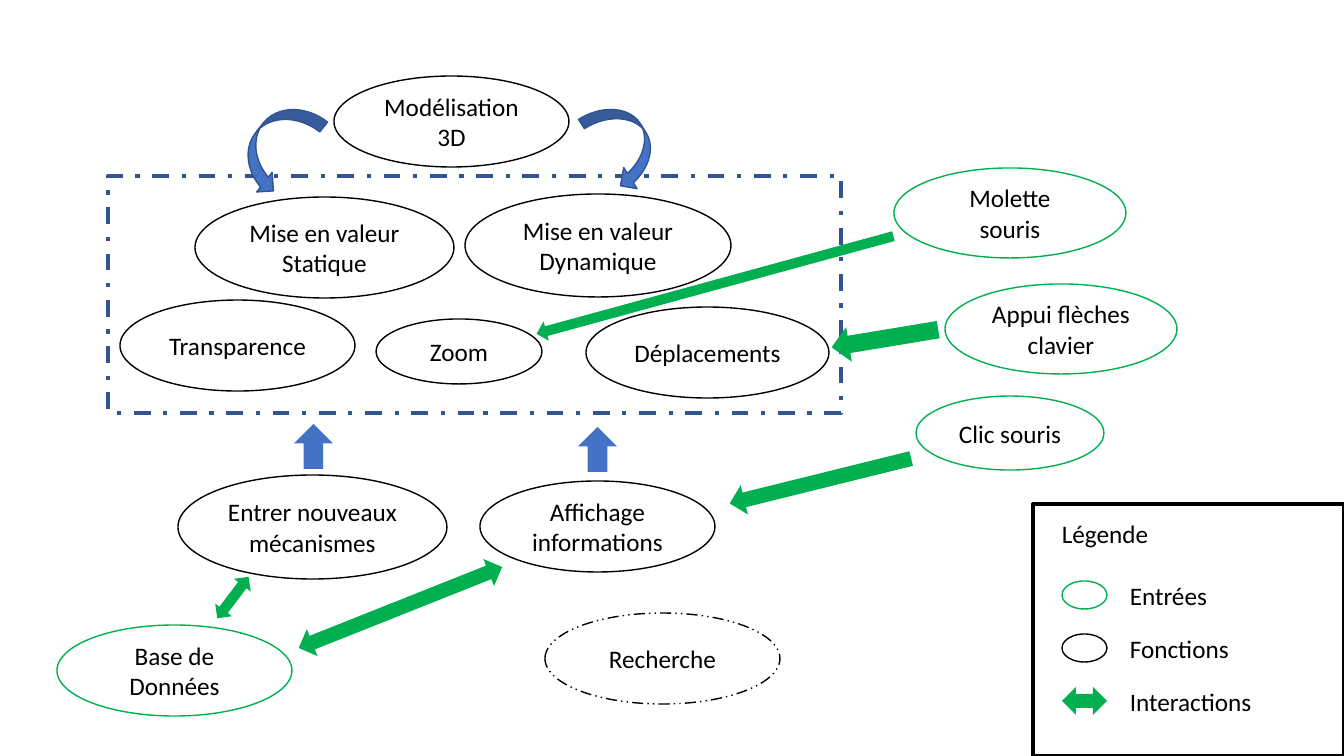
from pptx import Presentation
from pptx.dml.color import RGBColor
from pptx.enum.dml import MSO_LINE
from pptx.enum.shapes import MSO_SHAPE
from pptx.enum.text import MSO_ANCHOR, PP_ALIGN
from pptx.util import Pt

PX = 914400 / 100.8
SLIDE_SIZE = (1344, 756)

WHITE = RGBColor(0xFF, 0xFF, 0xFF)
BLACK = RGBColor(0x00, 0x00, 0x00)
GREEN = RGBColor(0x00, 0xB0, 0x50)
BLUE = RGBColor(0x44, 0x72, 0xC4)
DARK_BLUE = RGBColor(0x32, 0x54, 0x91)

RECTANGLE, OVAL = MSO_SHAPE.RECTANGLE, MSO_SHAPE.OVAL
UP_ARROW, LEFT_ARROW = MSO_SHAPE.UP_ARROW, MSO_SHAPE.LEFT_ARROW
TWO_WAY_ARROW = MSO_SHAPE.LEFT_RIGHT_ARROW
CURVED_RIGHT, CURVED_LEFT = MSO_SHAPE.CURVED_RIGHT_ARROW, MSO_SHAPE.CURVED_LEFT_ARROW
DASH_DOT, DASH_DOT_DOT = MSO_LINE.DASH_DOT, MSO_LINE.DASH_DOT_DOT
LEFT, CENTER = PP_ALIGN.LEFT, PP_ALIGN.CENTER
TOP, MIDDLE = MSO_ANCHOR.TOP, MSO_ANCHOR.MIDDLE


def px(*lengths):
    return [round(length * PX) for length in lengths]


def within(box, left, top, width, height):
    """Turn a place relative to the box into a place on the slide."""
    return box[0] + left, box[1] + top, width, height


def write(shape, text, align=CENTER, anchor=MIDDLE, size=18, color=BLACK):
    frame = shape.text_frame
    frame.word_wrap = True
    frame.vertical_anchor = anchor
    paragraph = frame.paragraphs[0]
    paragraph.alignment = align
    run = paragraph.add_run()
    run.text = text
    run.font.name = "Calibri"
    run.font.size = Pt(size)
    run.font.color.rgb = color


def draw(slide, preset, place, fill=WHITE, line=None, weight=1, dash=None, rotation=0):
    shape = slide.shapes.add_shape(preset, *px(*place))
    shape.shadow.inherit = False
    shape.rotation = rotation
    shape.fill.solid()
    shape.fill.fore_color.rgb = fill
    if line is None:
        shape.line.fill.background()
    else:
        shape.line.color.rgb = line
        shape.line.width = Pt(weight)
        if dash is not None:
            shape.line.dash_style = dash
    return shape


def draw_bubble(slide, text, place, line=BLACK, dash=None):
    write(draw(slide, OVAL, place, line=line, dash=dash), text)


def draw_features(slide, box):
    draw(slide, RECTANGLE, box, line=DARK_BLUE, weight=3, dash=DASH_DOT)
    for text, place in (
        ("Mise en valeur Statique", (87, 21, 259, 101)),
        ("Mise en valeur Dynamique", (357, 18, 266, 103)),
        ("Transparence", (12, 124, 235, 91)),
        ("Zoom", (268, 143, 166, 65)),
        ("Déplacements", (478, 131, 243, 91)),
    ):
        draw_bubble(slide, text, within(box, *place))


def draw_modelling(slide, box):
    draw_bubble(slide, "Modélisation 3D", within(box, 82, 0, 235, 91))
    draw(slide, CURVED_RIGHT, within(box, 0, 20, 50, 100),
         fill=BLUE, line=DARK_BLUE, rotation=38.2)
    to_dynamic = draw(slide, CURVED_LEFT, within(box, 347, 23, 50, 91),
                      fill=BLUE, line=DARK_BLUE, rotation=327.7)
    to_dynamic.adjustments[0] = 0.22


def draw_data(slide, box):
    for text, place, line, dash in (
        ("Entrer nouveaux mécanismes", (121, 51, 269, 104), BLACK, None),
        ("Affichage informations", (423, 57, 235, 91), BLACK, None),
        ("Base de Données", (0, 201, 235, 91), GREEN, None),
        ("Recherche", (488, 189, 235, 91), BLACK, DASH_DOT_DOT),
    ):
        draw_bubble(slide, text, within(box, *place), line=line, dash=dash)
    for left, top in ((237, 0), (521, 3)):
        draw(slide, UP_ARROW, within(box, left, top, 39, 45), fill=BLUE)


def draw_inputs(slide, box):
    for text, place in (
        ("Molette souris", (0, 0, 232, 90)),
        ("Appui flèches clavier", (51, 116, 232, 90)),
        ("Clic souris", (22, 228, 188, 74)),
    ):
        draw_bubble(slide, text, within(box, *place), line=GREEN)


def draw_interactions(slide, box):
    for preset, place, rotation in (
        (TWO_WAY_ARROW, (207, 587, 52, 21), 307.2),
        (TWO_WAY_ARROW, (291, 593, 219, 29), 338.3),
        (LEFT_ARROW, (727, 466, 187, 30), 346.1),
        (LEFT_ARROW, (831, 321, 108, 35), 350.6),
        (LEFT_ARROW, (530, 275, 370, 20), 344.7),
    ):
        draw(slide, preset, within(box, *place), fill=GREEN, rotation=rotation)


def draw_legend(slide, box):
    def label(text, left, top):
        place = within(box, left, top, 145, 40)
        write(slide.shapes.add_textbox(*px(*place)), text, align=LEFT, anchor=TOP)

    draw(slide, RECTANGLE, box, line=BLACK, weight=2.25)
    label("Légende", 19, 9)
    entries = (
        ("Entrées", OVAL, WHITE, GREEN),
        ("Fonctions", OVAL, WHITE, BLACK),
        ("Interactions", TWO_WAY_ARROW, GREEN, None),
    )
    for row, (text, preset, fill, line) in enumerate(entries):
        top = 77 + 53 * row
        draw(slide, preset, within(box, 29, top, 45, 28), fill=fill, line=line)
        label(text, 87, top - 6)


def main():
    deck = Presentation()
    deck.slide_width, deck.slide_height = px(*SLIDE_SIZE)
    slide = deck.slides.add_slide(deck.slide_layouts[6])
    draw_features(slide, (108, 176, 733, 237))
    draw_modelling(slide, (252, 76, 397, 120))
    draw_data(slide, (57, 424, 723, 292))
    draw_inputs(slide, (894, 168, 283, 302))
    draw_interactions(slide, (0, 0, *SLIDE_SIZE))
    draw_legend(slide, (1033, 504, 311, 252))
    deck.save("out.pptx")


if __name__ == "__main__":
    main()
